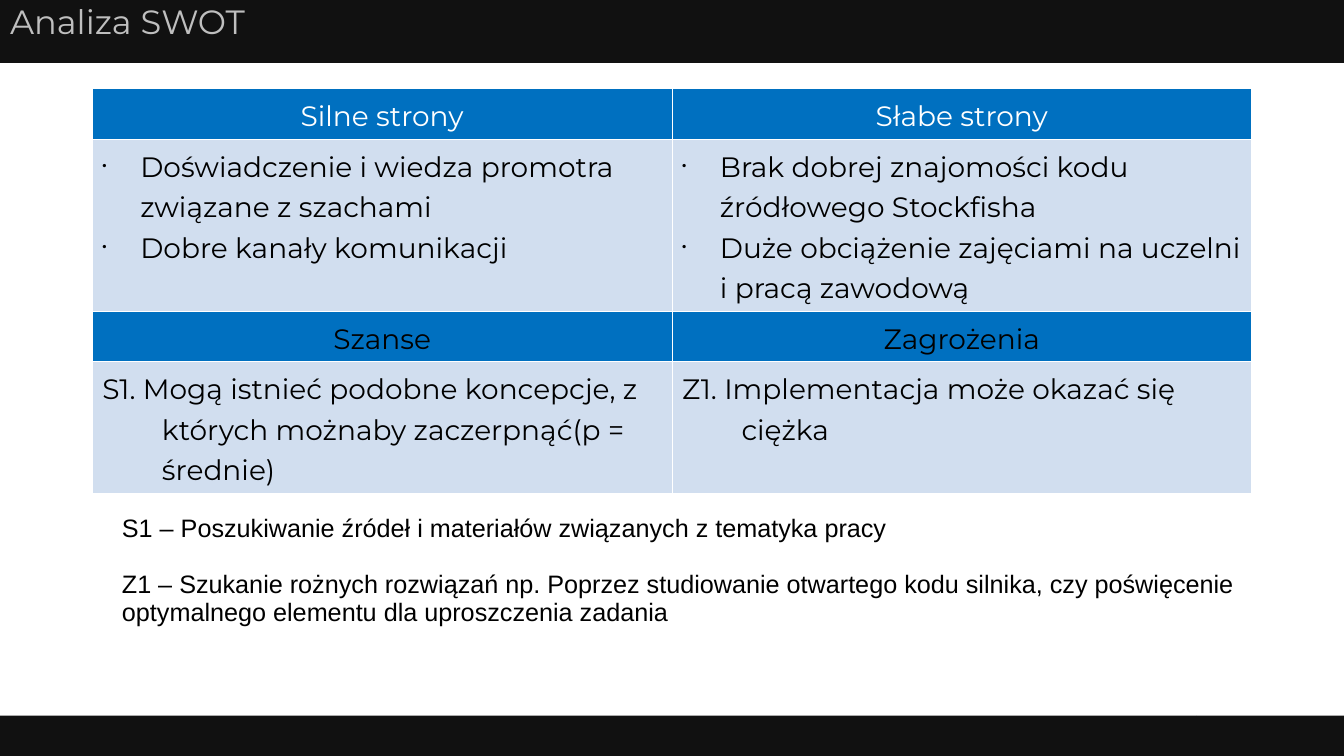
from lxml import etree
from pptx import Presentation
from pptx.dml.color import RGBColor
from pptx.enum import shapes, text
from pptx.oxml import ns
from pptx.util import Pt

TITLE = "Analiza SWOT"
HEADINGS = [("Silne strony", "Słabe strony"), ("Szanse", "Zagrożenia")]
HEADING_COLORS = ["FFFFFF", "000000"]
STRENGTHS = ["Doświadczenie i wiedza promotra związane z szachami",
             "Dobre kanały komunikacji"]
WEAKNESSES = ["Brak dobrej znajomości kodu źródłowego Stockfisha",
              "Duże obciążenie zajęciami na uczelni i pracą zawodową"]
OPPORTUNITIES = ["S1. Mogą istnieć podobne koncepcje, z których możnaby zaczerpnąć(p = średnie)"]
THREATS = ["Z1. Implementacja może okazać się ciężka"]
DETAILS = [(STRENGTHS, WEAKNESSES), (OPPORTUNITIES, THREATS)]
ACTIONS = [
    "S1 – Poszukiwanie źródeł i materiałów związanych z tematyka pracy",
    "Z1 – Szukanie rożnych rozwiązań np. Poprzez studiowanie otwartego kodu silnika, "
    "czy poświęcenie optymalnego elementu dla uproszczenia zadania",
]

WIDTH, HEIGHT = 960, 540
FOOTER_BARS = [(0, 855), (855, 105)]
FOOTER_HEIGHT = 28.8
COLUMN_WIDTH = 414
ROW_HEIGHTS = [35.5, 120, 35, 92]
BAR, BLUE, PALE = "111111", "0070C0", "D1DEEF"
WHITE, BLACK, GREY = "FFFFFF", "000000", "BFBFBF"


def color(value):
    return RGBColor.from_string(value)


def paint(target, value):
    target.fill.solid()
    target.fill.fore_color.rgb = color(value)


def add_text(paragraph, words, size, value, font):
    run = paragraph.add_run()
    run.text = words
    run.font.size = Pt(size)
    run.font.color.rgb = color(value)
    run.font.name = font


def add_child(parent, tag, **attributes):
    return etree.SubElement(parent, ns.qn(tag), attributes)


def indent(paragraph, left, hanging):
    properties = paragraph._p.get_or_add_pPr()
    properties.set("marL", str(Pt(left)))
    properties.set("indent", str(-Pt(hanging)))
    return properties


def add_bullet(paragraph):
    properties = indent(paragraph, 27, 27)
    add_child(add_child(properties, "a:buClr"), "a:srgbClr", val=BLACK)
    add_child(properties, "a:buSzPct", val="45000")
    add_child(properties, "a:buChar", char="•")


def fill_cell(cell, lines, background, text_color, heading):
    """Borders go in before the fill, as the cell's XML order requires."""
    properties = cell._tc.get_or_add_tcPr()
    for side in "LRTB":
        line = add_child(properties, f"a:ln{side}", w=str(Pt(0.45)))
        add_child(add_child(line, "a:solidFill"), "a:srgbClr", val=WHITE)
    paint(cell, background)
    frame = cell.text_frame
    for number, words in enumerate(lines):
        paragraph = frame.add_paragraph() if number else frame.paragraphs[0]
        if heading:
            paragraph.alignment = text.PP_ALIGN.CENTER
        elif len(lines) > 1:
            add_bullet(paragraph)
        else:
            indent(paragraph, 42.5, 42.5)
        paragraph.line_spacing = 1.18
        add_text(paragraph, words, 20, text_color, "Montserrat")


def add_title(slide):
    title = slide.shapes.title
    title.left, title.top, title.width, title.height = Pt(0), Pt(0), Pt(WIDTH), Pt(45)
    paint(title, BAR)
    frame = title.text_frame
    frame.vertical_anchor = text.MSO_ANCHOR.TOP
    frame.auto_size = text.MSO_AUTO_SIZE.NONE
    paragraph = frame.paragraphs[0]
    paragraph.alignment = text.PP_ALIGN.LEFT
    paragraph.line_spacing = 0.9
    add_text(paragraph, TITLE, 24, GREY, "Montserrat")


def add_swot_table(slide):
    table = slide.shapes.add_table(4, 2, Pt(66), Pt(63.2), Pt(2 * COLUMN_WIDTH),
                                   Pt(sum(ROW_HEIGHTS))).table
    table.first_row = table.horz_banding = False
    for column in table.columns:
        column.width = Pt(COLUMN_WIDTH)
    for row, height in zip(table.rows, ROW_HEIGHTS):
        row.height = Pt(height)
    for pair, heading_color in enumerate(HEADING_COLORS):
        for column in range(2):
            fill_cell(table.cell(2 * pair, column), [HEADINGS[pair][column]],
                      BLUE, heading_color, True)
            fill_cell(table.cell(2 * pair + 1, column), DETAILS[pair][column],
                      PALE, BLACK, False)


def add_footer(slide):
    for left, width in FOOTER_BARS:
        bar = slide.shapes.add_shape(shapes.MSO_SHAPE.RECTANGLE, Pt(left),
                                     Pt(HEIGHT - FOOTER_HEIGHT), Pt(width), Pt(FOOTER_HEIGHT))
        bar.shadow.inherit = False
        paint(bar, BAR)
        bar.line.fill.background()


def add_actions(slide):
    frame = slide.shapes.add_textbox(Pt(80), Pt(363), Pt(815), Pt(88)).text_frame
    frame.word_wrap = True
    frame.margin_top = Pt(5)
    for number, words in enumerate(ACTIONS):
        paragraph = frame.add_paragraph() if number else frame.paragraphs[0]
        paragraph.line_spacing = 0.93
        if number:
            paragraph.space_before = Pt(20)
        add_text(paragraph, words, 18, BLACK, "Arial")


def main():
    presentation = Presentation()
    presentation.slide_width, presentation.slide_height = Pt(WIDTH), Pt(HEIGHT)
    slide = presentation.slides.add_slide(presentation.slide_layouts[5])
    add_title(slide)
    add_swot_table(slide)
    add_footer(slide)
    add_actions(slide)
    presentation.save("out.pptx")


if __name__ == "__main__":
    main()
